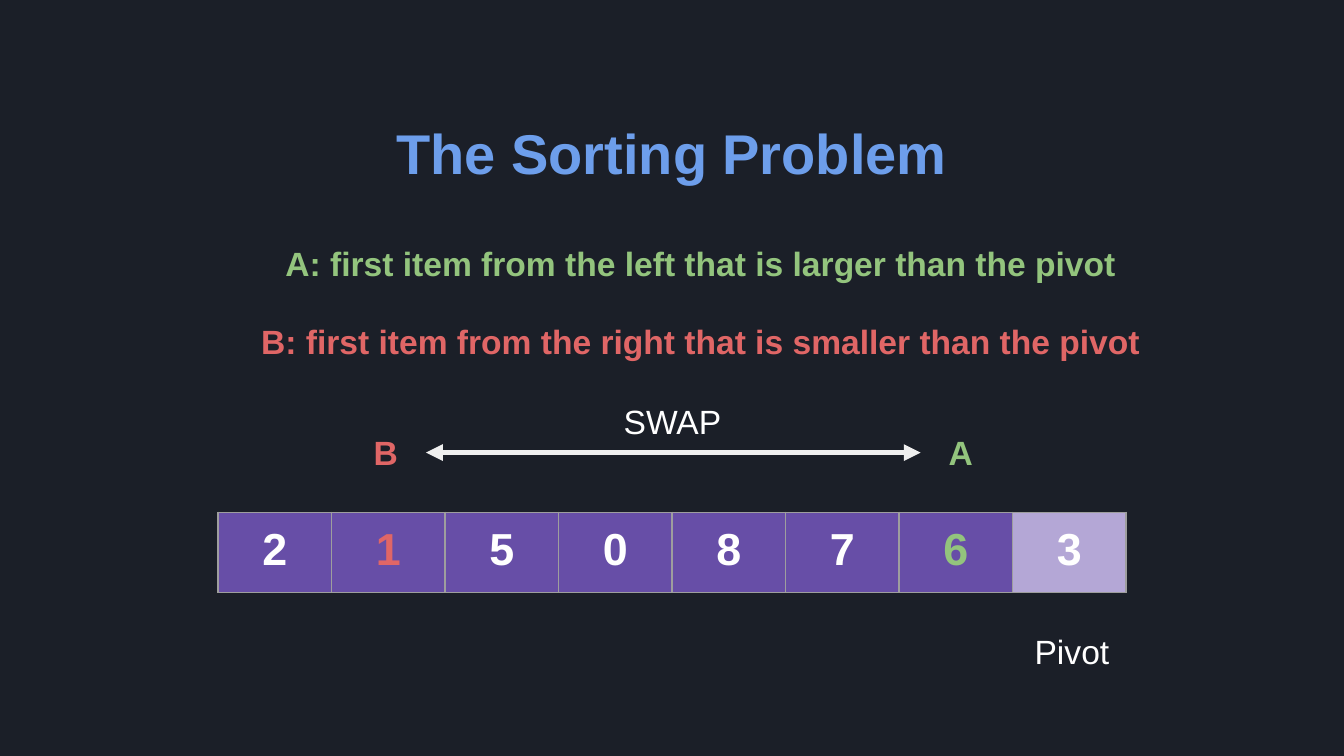
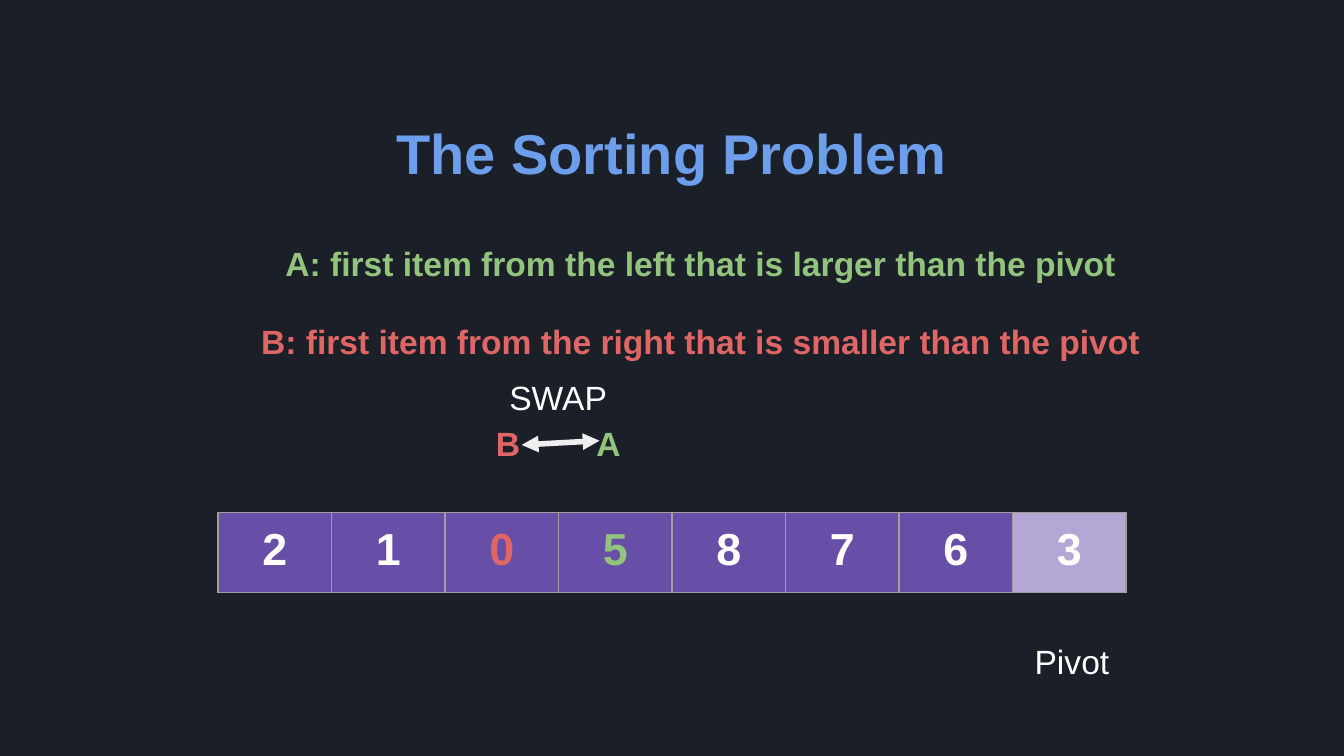
from lxml import etree
from pptx import Presentation
from pptx.dml.color import RGBColor
from pptx.enum.shapes import MSO_CONNECTOR
from pptx.enum.text import PP_ALIGN
from pptx.oxml.ns import qn
from pptx.util import Cm, Pt

STRAIGHT = MSO_CONNECTOR.STRAIGHT
CENTER = PP_ALIGN.CENTER

DARK = RGBColor(0x1B, 0x1F, 0x28)
BLUE = RGBColor(0x6D, 0x9E, 0xEB)
GREEN = RGBColor(0x93, 0xC4, 0x7D)
RED = RGBColor(0xE0, 0x66, 0x66)
WHITE = RGBColor(0xFF, 0xFF, 0xFF)
PALE = RGBColor(0xEF, 0xEF, 0xEF)
GREY = RGBColor(0x9E, 0x9E, 0x9E)
PURPLE = RGBColor(0x67, 0x4E, 0xA7)
LILAC = RGBColor(0xB4, 0xA7, 0xD6)

FONT = "Arial"
INSET = Cm(0.25)
LINE_H = 1.27
MARK_W = 1.52
LABEL_W = 6.12
RULE_W = 17.65


class Deck:
    """Holds the shared style and the slide being drawn."""

    def __init__(self):
        self.prs = Presentation()
        self.prs.slide_width = Cm(25.4)
        self.prs.slide_height = Cm(14.29)
        self.slide = None

    def start(self):
        self.slide = self.prs.slides.add_slide(self.prs.slide_layouts[6])
        fill = self.slide.background.fill
        fill.solid()
        fill.fore_color.rgb = DARK

    def style(self, para, text, size, color, bold):
        para.text = text
        para.alignment = CENTER
        font = para.font
        font.name, font.size, font.bold = FONT, Pt(size), bold
        font.color.rgb = color

    def pad(self, part):
        part.margin_left = part.margin_right = INSET
        part.margin_top = part.margin_bottom = INSET

    def text(self, text, x, y, w, color=WHITE, bold=False, size=18, h=LINE_H):
        box = self.slide.shapes.add_textbox(Cm(x), Cm(y), Cm(w), Cm(h))
        frame = box.text_frame
        frame.word_wrap = True
        self.pad(frame)
        self.style(frame.paragraphs[0], text, size, color, bold)
        return box

    def arrow(self, start, end):
        """Draw a two-headed arrow between two (x, y) points."""
        line = self.slide.shapes.add_connector(
            STRAIGHT, *(Cm(n) for n in start + end))
        line.line.color.rgb = PALE
        line.line.width = Pt(3)
        ln = line.line._get_or_add_ln()
        for tag in ("a:headEnd", "a:tailEnd"):
            etree.SubElement(ln, qn(tag), type="triangle")
        etree.SubElement(line._element.spPr, qn("a:effectLst"))
        return line

    def border(self, cell):
        props = cell._tc.get_or_add_tcPr()
        for side in ("a:lnL", "a:lnR", "a:lnT", "a:lnB"):
            ln = etree.SubElement(props, qn(side), w=str(Pt(0.75)))
            fill = etree.SubElement(ln, qn("a:solidFill"))
            etree.SubElement(fill, qn("a:srgbClr"), val=str(GREY))

    def array(self, items, marks):
        """Draw the items as a row; marks maps an item to its text colour."""
        table = self.slide.shapes.add_table(
            1, len(items), Cm(4.12), Cm(9.68), Cm(17.16), Cm(1.52)).table
        table.first_row = table.horz_banding = False
        for col, item in enumerate(items):
            cell = table.cell(0, col)
            self.pad(cell)
            self.border(cell)
            cell.fill.solid()
            last = col == len(items) - 1
            cell.fill.fore_color.rgb = LILAC if last else PURPLE
            self.style(cell.text_frame.paragraphs[0], item, 24,
                       marks.get(item, WHITE), True)

    def step(self, items, small, large, pivot_y):
        """Start a slide with the rules, the array and the pivot label."""
        self.start()
        self.text("The Sorting Problem", 3.3, 2, 18.8, BLUE, True, 30, 2.06)
        self.text("A: first item from the left that is larger than the pivot",
                  4.42, 4.34, RULE_W, GREEN, True)
        self.text("B: first item from the right that is smaller than the pivot",
                  4.42, 5.82, RULE_W, RED, True)
        self.array(items, {small: RED, large: GREEN})
        self.text("Pivot", 17.2, pivot_y, LABEL_W)

    def swap(self, b_x, a_x, mark_y, x, y):
        """Place the B and A marks and the swap label; return the marks."""
        self.text("SWAP", x, y, LABEL_W)
        return (self.text("B", b_x, mark_y, MARK_W, RED, True),
                self.text("A", a_x, mark_y, MARK_W, GREEN, True))


def main():
    deck = Deck()

    deck.step("21508763", "1", "6", 11.68)
    left, right = deck.swap(6.53, 17.4, 7.92, 9.65, 7.32)
    line = deck.arrow((8.05, 8.56), (17.4, 8.56))
    line.begin_connect(left, 3)
    line.end_connect(right, 1)

    deck.step("21058763", "0", "5", 11.86)
    deck.swap(8.84, 10.74, 7.75, 7.49, 6.88)
    deck.arrow((9.86, 8.41), (11.33, 8.33))

    deck.prs.save("out.pptx")


if __name__ == "__main__":
    main()
